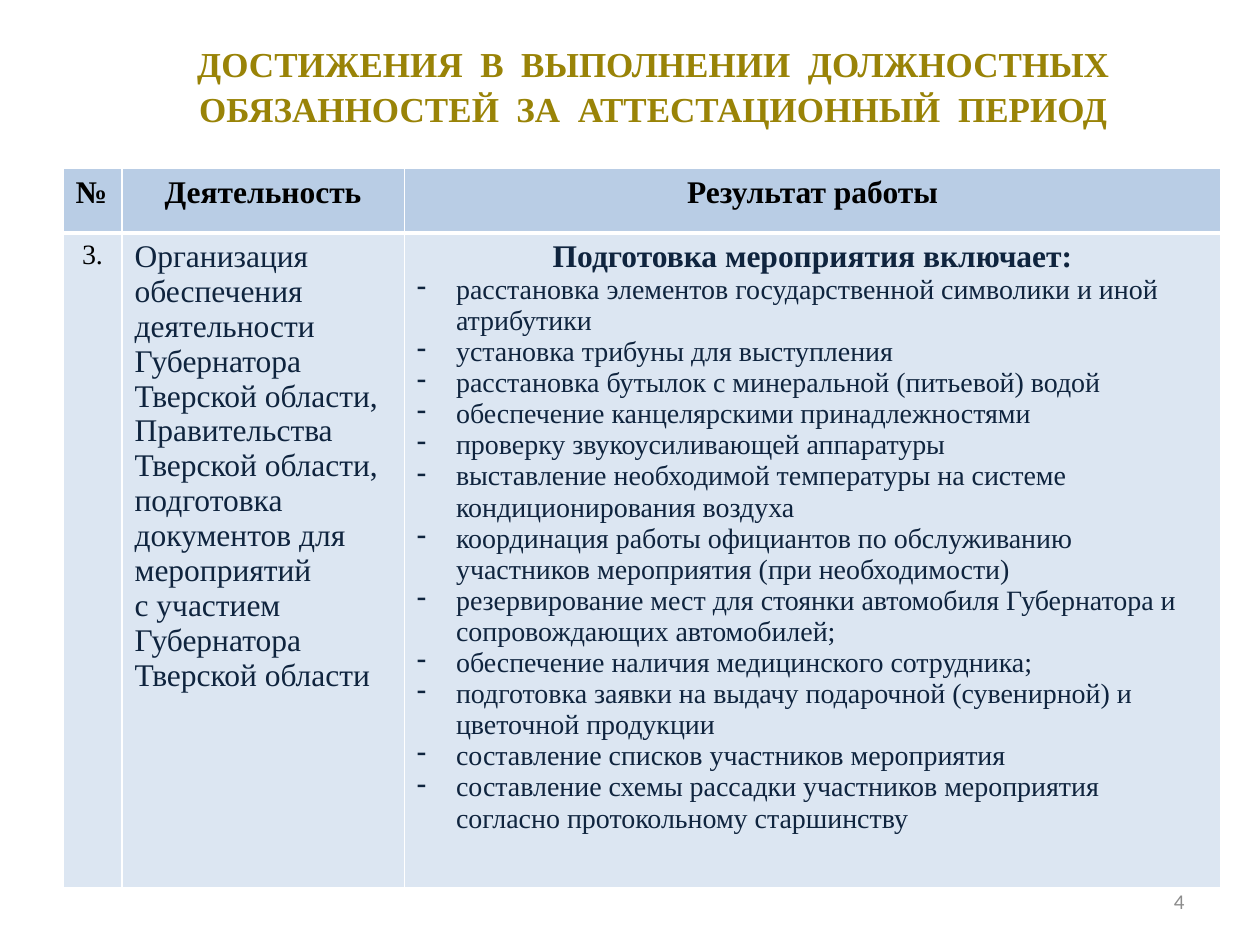
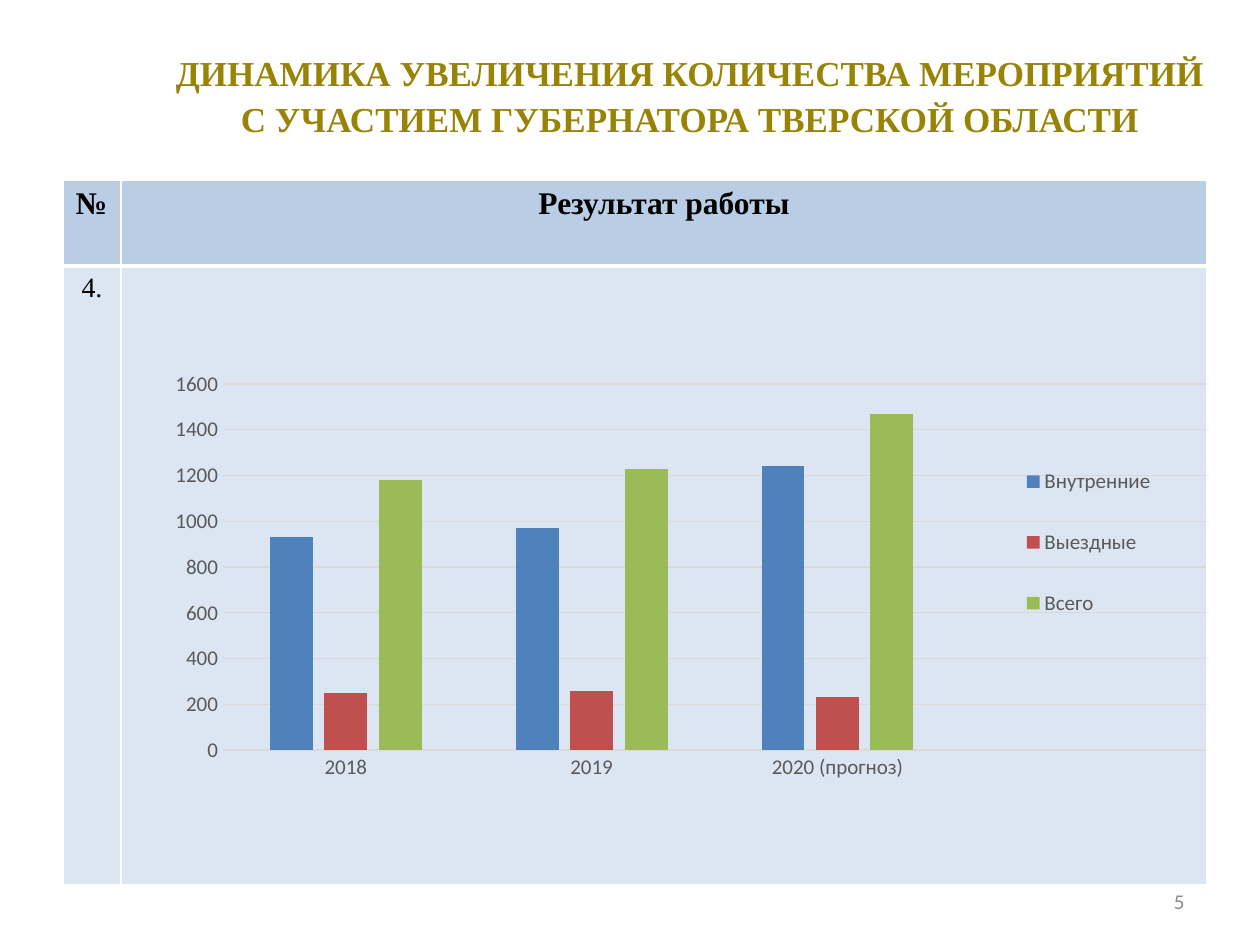
import pptx
import pptx.chart.data
import pptx.dml.color
import pptx.enum.chart
import pptx.enum.text
import pptx.oxml
import pptx.oxml.ns
import pptx.util

Cm = pptx.util.Cm
Pt = pptx.util.Pt
ALIGN = pptx.enum.text.PP_ALIGN
ANCHOR = pptx.enum.text.MSO_ANCHOR
CHART = pptx.enum.chart

COLORS = {
    "title": "998307", "header": "B9CDE5", "body": "DCE6F2", "border": "FFFFFF",
    "black": "000000", "navy": "0F243E", "number": "8C8C8C",
    "chart text": "595959", "grid": "D9D9D9",
}
SERIF, SANS = "Times New Roman", "Calibri"
TABLE_LEFT = 1.27
BODY_HEIGHT = 12.47
BULLET_INDENT = 0.79

# Boxes are left, top, width, height in centimetres
ACHIEVEMENTS = {
    "number": "4",
    "title": "ДОСТИЖЕНИЯ  В  ВЫПОЛНЕНИИ  ДОЛЖНОСТНЫХ\vОБЯЗАННОСТЕЙ  ЗА  АТТЕСТАЦИОННЫЙ  ПЕРИОД",
    "title box": (1.5, 0, 23.34, 3.18),
    "table top": 3.4,
    "header height": 1.3,
    "columns": [1.19, 5.69, 16.46],
    "headers": ["№", "Деятельность", "Результат работы"],
    "row number": "3.",
}
ACTIVITY = [
    "Организация обеспечения деятельности Губернатора Тверской области, "
    "Правительства Тверской области,",
    "подготовка документов для мероприятий",
    "с участием Губернатора Тверской области",
]
PREPARATION_HEADING = "Подготовка мероприятия включает:"
PREPARATION_STEPS = [
    "расстановка элементов государственной символики и иной атрибутики",
    "установка трибуны для выступления",
    "расстановка бутылок с минеральной (питьевой) водой",
    "обеспечение канцелярскими принадлежностями",
    "проверку звукоусиливающей аппаратуры",
    "выставление необходимой температуры на системе кондиционирования воздуха",
    "координация работы официантов по обслуживанию участников мероприятия (при необходимости)",
    "резервирование мест для стоянки автомобиля Губернатора и сопровождающих автомобилей;",
    "обеспечение наличия медицинского сотрудника;",
    "подготовка заявки на выдачу подарочной (сувенирной) и цветочной продукции",
    "составление списков участников мероприятия",
    "составление схемы рассадки участников мероприятия согласно протокольному старшинству",
]

DYNAMICS = {
    "number": "5",
    "title": "ДИНАМИКА УВЕЛИЧЕНИЯ КОЛИЧЕСТВА МЕРОПРИЯТИЙ\vС УЧАСТИЕМ ГУБЕРНАТОРА ТВЕРСКОЙ ОБЛАСТИ",
    "title box": (1.27, -1.14, 25.27, 5.84),
    "table top": 3.63,
    "header height": 1.73,
    "columns": [1.17, 21.89],
    "headers": ["№", "Результат работы"],
    "row number": "4.",
}
CHART_BOX = (2.77, 2.77, 21.56, 14.2)
# The last, unnamed category keeps room for the legend
YEARS = ["2018", "2019", "2020 (прогноз)", ""]
EVENTS = [
    ("Внутренние", [930, 970, 1240, None], "4F81BD"),
    ("Выездные", [250, 260, 230, None], "C0504D"),
    ("Всего", [1180, 1230, 1470, None], "9BBB59"),
]
# Layouts are x, y, width, height as shares of the chart
PLOT_LAYOUT = (0.08, 0.35, 0.92, 0.52)
LEGEND_LAYOUT = (0.82, 0.42, 0.14, 0.31)


def rgb(name):
    return pptx.dml.color.RGBColor.from_string(COLORS.get(name, name))


def xml(text):
    head, rest = text.split(" ", 1)
    return pptx.oxml.parse_xml(f"{head} {pptx.oxml.ns.nsdecls('a', 'c')} {rest}")


def centimetres(box):
    return [Cm(length) for length in box]


def style_font(font, name, size, color, bold=False):
    font.name, font.size, font.bold = name, Pt(size), bold
    font.color.rgb = rgb(color)


def style_paragraph(paragraph, size, color, bold=False, align=None, name=SERIF):
    paragraph.alignment = align
    for run in paragraph.runs:
        style_font(run.font, name, size, color, bold)


def add_dash(paragraph):
    properties = paragraph._p.get_or_add_pPr()
    properties.set("marL", str(Cm(BULLET_INDENT)))
    properties.set("indent", str(-Cm(BULLET_INDENT)))
    properties.append(xml('<a:buChar char="-"/>'))


def style_cell(cell, fill, bottom_width):
    cell.fill.solid()
    cell.fill.fore_color.rgb = rgb(fill)
    properties = cell._tc.get_or_add_tcPr()
    widths = {"lnL": 1, "lnR": 1, "lnT": 1, "lnB": bottom_width}
    for index, (side, width) in enumerate(widths.items()):
        properties.insert(index, xml(
            f'<a:{side} w="{Pt(width)}"><a:solidFill><a:srgbClr val="{COLORS["border"]}"/>'
            f'</a:solidFill></a:{side}>'))


def add_title(slide, text, box):
    title = slide.shapes.title
    title.left, title.top, title.width, title.height = centimetres(box)
    frame = title.text_frame
    frame.text = text
    frame.word_wrap = True
    frame.auto_size = pptx.enum.text.MSO_AUTO_SIZE.NONE
    frame.vertical_anchor = ANCHOR.MIDDLE
    frame.margin_top = Cm(0.35)
    frame.paragraphs[0].line_spacing = 1.08
    style_paragraph(frame.paragraphs[0], 20, "title", True, ALIGN.CENTER)


def add_slide_number(slide, number):
    frame = slide.shapes.add_textbox(*centimetres((18.2, 17.65, 5.93, 1.02))).text_frame
    frame.word_wrap = True
    frame.vertical_anchor = ANCHOR.MIDDLE
    frame.text = number
    style_paragraph(frame.paragraphs[0], 12, "number", align=ALIGN.RIGHT, name=SANS)


def add_table(slide, content):
    """Add the header row and one numbered body row; return the table."""
    columns = content["columns"]
    heights = [content["header height"], BODY_HEIGHT]
    table = slide.shapes.add_table(2, len(columns), *centimetres(
        (TABLE_LEFT, content["table top"], sum(columns), sum(heights)))).table
    for row, height in zip(table.rows, heights):
        row.height = Cm(height)
    for index, (width, header) in enumerate(zip(columns, content["headers"])):
        table.columns[index].width = Cm(width)
        cell = table.cell(0, index)
        cell.text_frame.text = header
        align = ALIGN.CENTER if index else ALIGN.LEFT
        style_paragraph(cell.text_frame.paragraphs[0], 18, "black", True, align)
        style_cell(cell, "header", 3)
        style_cell(table.cell(1, index), "body", 1)
    number = table.cell(1, 0).text_frame
    number.text = content["row number"]
    style_paragraph(number.paragraphs[0], 16, "black", align=ALIGN.CENTER)
    return table


def add_framed_slide(presentation, content):
    """Add a slide with its title, number and table; return slide and table."""
    slide = presentation.slides.add_slide(presentation.slide_layouts[5])
    add_slide_number(slide, content["number"])
    add_title(slide, content["title"], content["title box"])
    return slide, add_table(slide, content)


def fill_achievements(table):
    activity = table.cell(1, 1).text_frame
    activity.text = "\n".join(ACTIVITY)
    for paragraph in activity.paragraphs:
        style_paragraph(paragraph, 18, "navy")

    result = table.cell(1, 2).text_frame
    result.text = "\n".join([PREPARATION_HEADING] + PREPARATION_STEPS)
    heading, *steps = result.paragraphs
    style_paragraph(heading, 18, "navy", True, ALIGN.CENTER)
    for paragraph in steps:
        style_paragraph(paragraph, 16, "navy")
        add_dash(paragraph)


def manual_layout(box, inner=False):
    target = '<c:layoutTarget val="inner"/>' if inner else ""
    modes = '<c:xMode val="edge"/><c:yMode val="edge"/>'
    sizes = "".join(f'<c:{key} val="{share}"/>' for key, share in zip("xywh", box))
    return xml(f"<c:layout ><c:manualLayout>{target}{modes}{sizes}</c:manualLayout></c:layout>")


def place_part(element, layout, index):
    """Replace the layout of a chart part with a manual one."""
    for old in element.findall(pptx.oxml.ns.qn("c:layout")):
        element.remove(old)
    element.insert(index, layout)


def add_events_chart(slide):
    data = pptx.chart.data.CategoryChartData()
    data.categories = YEARS
    for name, values, _ in EVENTS:
        data.add_series(name, values)
    chart = slide.shapes.add_chart(
        CHART.XL_CHART_TYPE.COLUMN_CLUSTERED, *centimetres(CHART_BOX), data).chart
    chart.has_title = False
    style_font(chart.font, SANS, 12, "chart text")

    plot = chart.plots[0]
    plot.gap_width, plot.overlap, plot.vary_by_categories = 219, -27, False
    for series, (_, _, color) in zip(plot.series, EVENTS):
        series.format.fill.solid()
        series.format.fill.fore_color.rgb = rgb(color)
        series.invert_if_negative = False

    values, years = chart.value_axis, chart.category_axis
    values.minimum_scale, values.maximum_scale, values.major_unit = 0, 1600, 200
    values.has_major_gridlines = True
    values.format.line.fill.background()
    for line in (values.major_gridlines.format.line, years.format.line):
        line.color.rgb = rgb("grid")
        line.width = Pt(0.75)
    for axis in (values, years):
        axis.major_tick_mark = axis.minor_tick_mark = CHART.XL_TICK_MARK.NONE
        style_font(axis.tick_labels.font, SANS, 12, "chart text")

    chart.has_legend = True
    legend = chart.legend
    legend.position = CHART.XL_LEGEND_POSITION.RIGHT
    legend.include_in_layout = False
    style_font(legend.font, SANS, 12, "chart text")
    place_part(legend._element, manual_layout(LEGEND_LAYOUT), 1)
    plot_area = chart._chartSpace.chart.plotArea
    place_part(plot_area, manual_layout(PLOT_LAYOUT, inner=True), 0)


def main():
    presentation = pptx.Presentation()
    presentation.slide_width, presentation.slide_height = Cm(25.4), Cm(19.05)

    _, achievements = add_framed_slide(presentation, ACHIEVEMENTS)
    fill_achievements(achievements)

    slide, _ = add_framed_slide(presentation, DYNAMICS)
    add_events_chart(slide)

    presentation.save("out.pptx")


if __name__ == "__main__":
    main()
